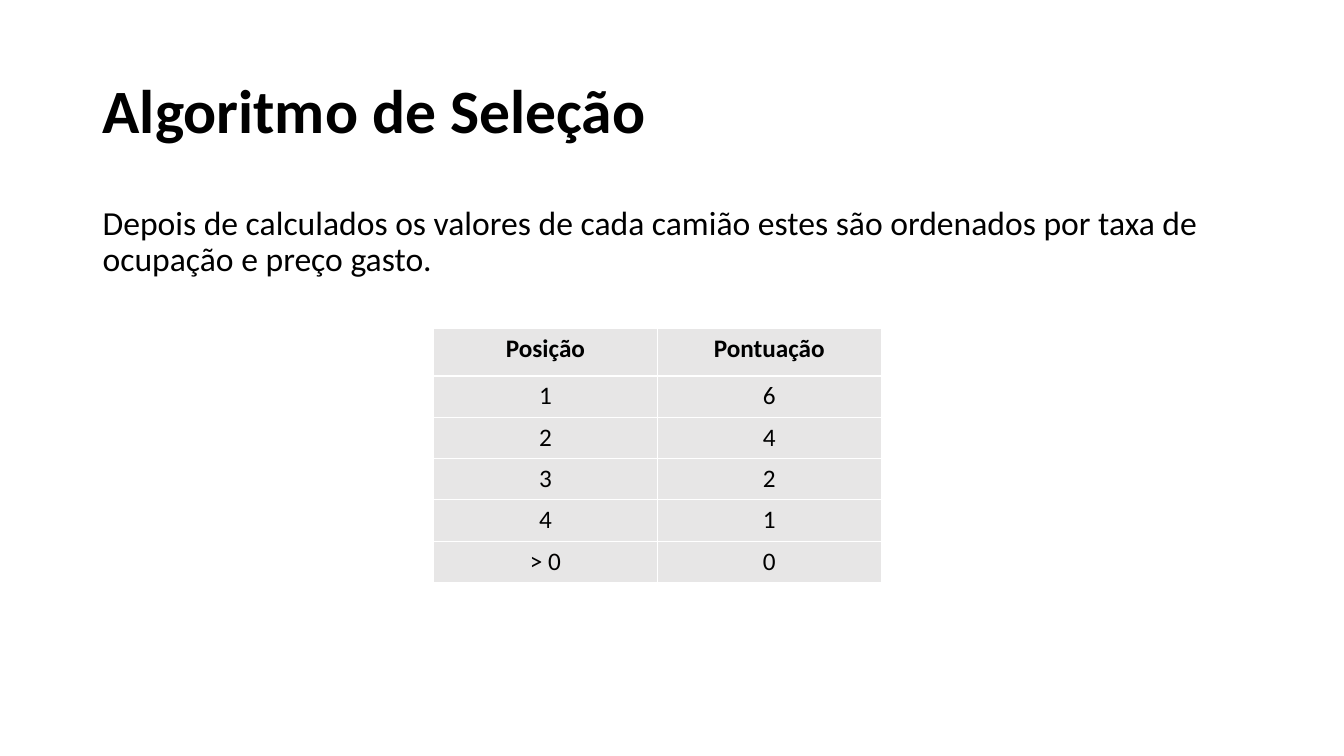
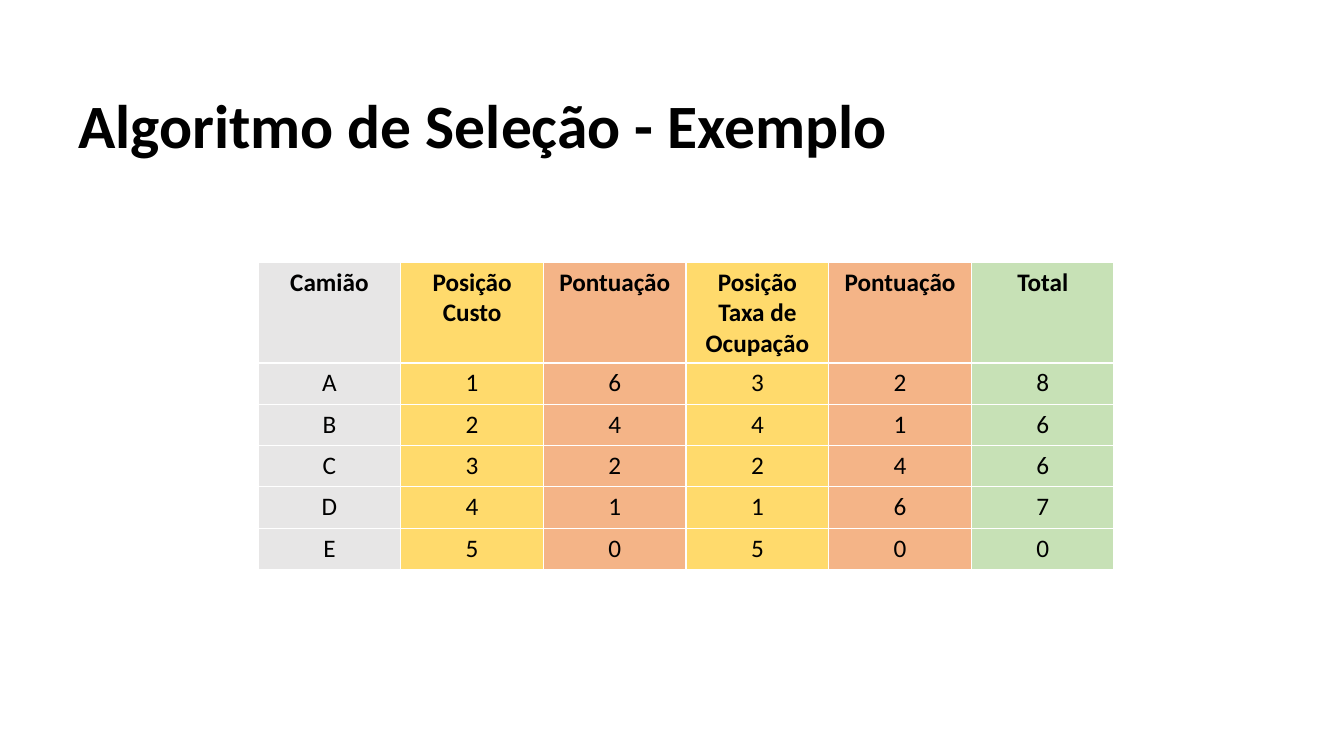
"""Build two slides that explain a truck selection algorithm with scoring tables."""
from lxml import etree
from pptx import Presentation, util as u
from pptx.dml.color import RGBColor
from pptx.enum import text
from pptx.oxml.ns import qn

FONT = "Calibri"
BLACK = RGBColor(0x00, 0x00, 0x00)
WHITE = RGBColor(0xFF, 0xFF, 0xFF)
GREY = RGBColor(0xE7, 0xE6, 0xE6)
YELLOW = RGBColor(0xFF, 0xD9, 0x66)
ORANGE = RGBColor(0xF4, 0xB1, 0x83)
GREEN = RGBColor(0xC5, 0xE0, 0xB4)
FILL_OPACITY = 96
TEXT_WIDTH = 11.5
TITLE_HEIGHT = 1.45
HEADER_HEIGHT, ROW_HEIGHT = 0.47, 0.41

SLIDES = [
    {
        "title": ("Algoritmo de Seleção", 0.92, 0.4),
        "body": ("Depois de calculados os valores de cada camião estes são "
                 "ordenados por taxa de ocupação e preço gasto.", 0.92, 2),
        "table": (4.3, 3.26, 4.44),
        "columns": [("Posição", GREY), ("Pontuação", GREY)],
        "rows": [("1", "6"), ("2", "4"), ("3", "2"), ("4", "1"), ("> 0", "0")],
    },
    {
        "title": ("Algoritmo de Seleção - Exemplo", 0.68, 0.55),
        "table": (2.56, 2.6, 8.49),
        "columns": [("Camião", GREY), ("Posição Custo", YELLOW), ("Pontuação", ORANGE),
                    ("Posição Taxa de Ocupação", YELLOW), ("Pontuação", ORANGE),
                    ("Total", GREEN)],
        "rows": ["A16328", "B24416", "C32246", "D41167", "E50500"],
    },
]


def style_paragraph(paragraph, size, bold=False):
    for run in paragraph.runs:
        run.font.name = FONT
        run.font.size = u.Pt(size)
        run.font.bold = bold
        run.font.color.rgb = BLACK


def add_text(slide, content, left, top, height, size, bold=False):
    shape = slide.shapes.add_textbox(*map(u.Inches, (left, top, TEXT_WIDTH, height)))
    frame = shape.text_frame
    frame.word_wrap = True
    frame.text = content
    paragraph = frame.paragraphs[0]
    paragraph.line_spacing = 0.9
    style_paragraph(paragraph, size, bold)
    return shape


def style_cell(cell, content, color, bold):
    cell.text_frame.text = content
    paragraph = cell.text_frame.paragraphs[0]
    paragraph.alignment = text.PP_ALIGN.CENTER
    style_paragraph(paragraph, 18, bold)
    cell.fill.solid()
    cell.fill.fore_color.rgb = color
    properties = cell._tc.get_or_add_tcPr()
    fill_color = properties.find(qn("a:solidFill")).find(qn("a:srgbClr"))
    etree.SubElement(fill_color, qn("a:alpha"), val=str(FILL_OPACITY * 1000))
    for index, side in enumerate("LRTB"):
        border = etree.Element(qn(f"a:ln{side}"), w=str(u.Pt(1)))
        line_fill = etree.SubElement(border, qn("a:solidFill"))
        etree.SubElement(line_fill, qn("a:srgbClr"), val=str(WHITE))
        properties.insert(index, border)


def add_score_table(slide, columns, rows, left, top, width):
    height = HEADER_HEIGHT + ROW_HEIGHT * len(rows)
    table = slide.shapes.add_table(len(rows) + 1, len(columns),
                                   *map(u.Inches, (left, top, width, height))).table
    for column in table.columns:
        column.width = u.Inches(width / len(columns))
    headers = [name for name, _ in columns]
    for row_index, values in enumerate([headers, *rows]):
        is_header = row_index == 0
        table.rows[row_index].height = u.Inches(HEADER_HEIGHT if is_header else ROW_HEIGHT)
        for column_index, (value, (_, color)) in enumerate(zip(values, columns)):
            style_cell(table.cell(row_index, column_index), value, color, is_header)


def main():
    presentation = Presentation()
    presentation.slide_width = u.Inches(13.33)
    presentation.slide_height = u.Inches(7.5)
    for content in SLIDES:
        slide = presentation.slides.add_slide(presentation.slide_layouts[6])
        title = add_text(slide, *content["title"], TITLE_HEIGHT, 44, bold=True)
        title.text_frame.vertical_anchor = text.MSO_ANCHOR.MIDDLE
        if "body" in content:
            body = add_text(slide, *content["body"], 4.76, 24)
            body.text_frame.paragraphs[0].space_before = u.Pt(10)
        add_score_table(slide, content["columns"], content["rows"], *content["table"])
    presentation.save("out.pptx")


if __name__ == "__main__":
    main()
